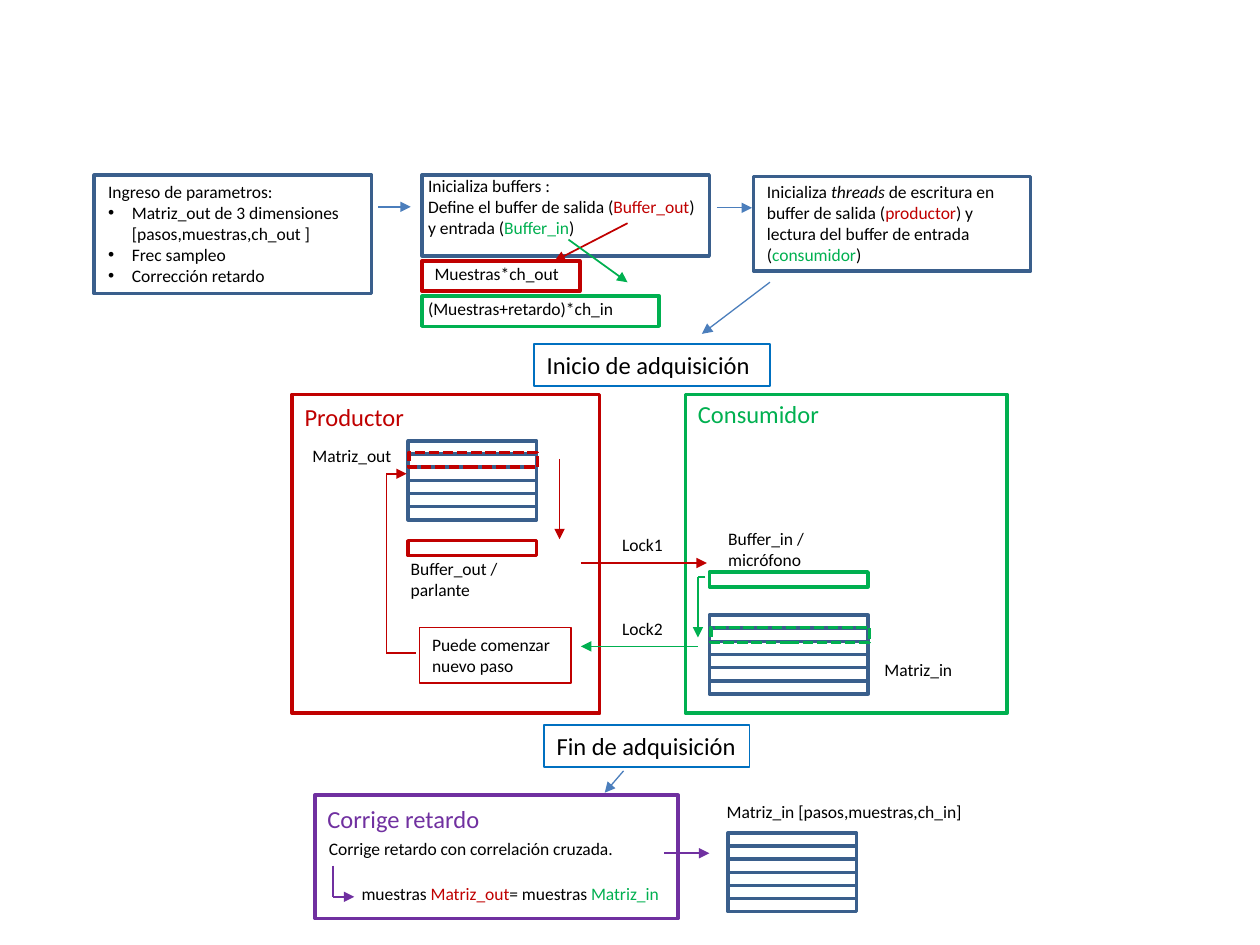
from lxml import etree
from pptx import Presentation
from pptx.dml.color import RGBColor
from pptx.enum.dml import MSO_LINE
from pptx.enum.shapes import MSO_CONNECTOR, MSO_SHAPE
from pptx.oxml.ns import qn
from pptx.util import Cm, Pt

RECTANGLE = MSO_SHAPE.RECTANGLE
STRAIGHT = MSO_CONNECTOR.STRAIGHT
DASHED = MSO_LINE.SQUARE_DOT
COLORS = {
    "black": "000000", "navy": "3A5F8C", "arrow": "4B7EBC", "blue": "0070C0",
    "red": "C00000", "green": "00B050", "purple": "7030A0",
}
FONT = "Calibri"
ROW_PITCH = 0.265
ROW_COUNT = 6


def rgb(color):
    """Return the named colour."""
    return RGBColor.from_string(COLORS[color])


def add_box(page, place, color, width=2, dash=None):
    """Draw an outlined rectangle."""
    box = page.shapes.add_shape(RECTANGLE, *map(Cm, place))
    box.shadow.inherit = False
    box.fill.background()
    box.line.color.rgb = rgb(color)
    box.line.width = Pt(width)
    if dash:
        box.line.dash_style = dash


def add_bullet(para):
    """Give a paragraph a hanging bullet."""
    properties = para._p.get_or_add_pPr()
    properties.set("marL", str(Cm(0.48)))
    properties.set("indent", str(-Cm(0.48)))
    etree.SubElement(properties, qn("a:buFont")).set("typeface", "Arial")
    etree.SubElement(properties, qn("a:buChar")).set("char", "•")


def add_text(page, place, paragraphs, size=10, bullets_from=None, border=None, width=1):
    """Write paragraphs of (text, colour, italic) runs, with an optional border."""
    box = page.shapes.add_textbox(*map(Cm, place))
    if border:
        box.line.color.rgb = rgb(border)
        box.line.width = Pt(width)
    frame = box.text_frame
    frame.word_wrap = True
    for index, runs in enumerate(paragraphs):
        para = frame.add_paragraph() if index else frame.paragraphs[0]
        if bullets_from is not None and index >= bullets_from:
            add_bullet(para)
        for text, color, *italic in runs:
            span = para.add_run()
            span.text = text
            span.font.name = FONT
            span.font.size = Pt(size)
            span.font.color.rgb = rgb(color)
            if italic:
                span.font.italic = True


def add_label(page, place, text, color="black", size=10, **style):
    """Write one plain run."""
    add_text(page, place, [[(text, color)]], size, **style)


def add_arrow(page, points, color, width=1):
    """Join points with straight lines and put an arrowhead at the last."""
    for start, end in zip(points, points[1:]):
        line = page.shapes.add_connector(STRAIGHT, *map(Cm, start + end))
        line.line.color.rgb = rgb(color)
        line.line.width = Pt(width)
        properties = line._element.spPr
        etree.SubElement(properties, qn("a:effectLst"))
    outline = properties.find(qn("a:ln"))
    etree.SubElement(outline, qn("a:tailEnd")).set("type", "triangle")


def add_matrix(page, left, top, width):
    """Stack the rows of a matrix."""
    for row in range(ROW_COUNT):
        add_box(page, (left, top + row * ROW_PITCH, width, ROW_PITCH), "navy")


def add_setup(page):
    """Draw the three preparation steps."""
    add_box(page, (1.9, 3.53, 5.59, 2.39), "navy")
    add_text(page, (1.93, 3.53, 5.56, 2.39), [
        [("Ingreso de parametros:", "black")],
        [("Matriz_out de 3 dimensiones [pasos,muestras,ch_out ]", "black")],
        [("Frec sampleo", "black")],
        [("Corrección retardo", "black")],
    ], bullets_from=1)
    add_box(page, (8.51, 3.53, 5.79, 1.63), "navy")
    add_text(page, (8.38, 3.4, 5.99, 1.55), [
        [("Inicializa buffers :", "black")],
        [("Define el buffer de salida (", "black"), ("Buffer_out", "red"),
         (") y entrada (", "black"), ("Buffer_in", "green"), (")", "black")],
    ])
    add_box(page, (8.51, 5.26, 3.18, 0.61), "red")
    add_label(page, (8.51, 5.18, 3.81, 0.69), "Muestras*ch_out")
    add_box(page, (8.51, 5.97, 4.78, 0.61), "green")
    add_label(page, (8.38, 5.89, 4.55, 0.69), "(Muestras+retardo)*ch_in")
    add_arrow(page, [(12.65, 4.5), (11.18, 5.26)], "red")
    add_arrow(page, [(11.46, 4.83), (12.65, 5.69)], "green")
    add_box(page, (15.19, 3.56, 5.59, 1.9), "navy")
    add_text(page, (15.21, 3.53, 5.56, 1.96), [[
        ("Inicializa ", "black"), ("threads", "black", True),
        (" de escritura en buffer de salida (", "black"), ("productor", "red"),
        (") y lectura del buffer de entrada (", "black"),
        ("consumidor", "green"), (")", "black"),
    ]])


def add_producer(page):
    """Draw the producer panel."""
    add_box(page, (5.89, 7.95, 6.2, 6.43), "red")
    add_label(page, (5.89, 7.98, 3.43, 0.86), "Productor", "red", 14)
    add_matrix(page, 8.23, 8.89, 2.59)
    add_box(page, (8.25, 9.12, 2.59, 0.3), "red", dash=DASHED)
    add_box(page, (8.23, 10.9, 2.59, 0.3), "red")
    add_label(page, (6.05, 8.84, 3.81, 0.69), "Matriz_out")
    add_label(page, (8.03, 11.13, 3.1, 1.12), "Buffer_out / parlante")
    add_label(page, (8.46, 12.65, 3.05, 1.12), "Puede comenzar nuevo paso",
              border="red", width=0.75)
    add_arrow(page, [(11.28, 9.25), (11.28, 10.87)], "red")
    add_arrow(page, [(8.38, 13.17), (7.79, 13.17), (7.79, 9.55), (8.2, 9.55)], "red")


def add_consumer(page):
    """Draw the consumer panel."""
    add_box(page, (13.82, 7.95, 6.48, 6.43), "green")
    add_label(page, (13.82, 7.92, 3.43, 0.86), "Consumidor", "green", 14)
    add_matrix(page, 14.3, 12.4, 3.2)
    add_box(page, (14.33, 12.65, 3.2, 0.3), "green", dash=DASHED)
    add_box(page, (14.3, 11.53, 3.2, 0.3), "green")
    add_label(page, (14.43, 10.52, 3.1, 1.12), "Buffer_in / micrófono")
    add_label(page, (17.58, 13.16, 3.81, 0.69), "Matriz_in")
    add_arrow(page, [(14.22, 11.63), (14.07, 11.63), (14.07, 12.85)], "green")


def add_locks(page):
    """Draw the two locks between the panels."""
    add_arrow(page, [(11.71, 11.35), (14.25, 11.35)], "red")
    add_arrow(page, [(14.07, 13.03), (11.71, 13.03)], "green")
    for text, top in (("Lock1", 10.64), ("Lock2", 12.34)):
        add_label(page, (12.29, top, 2.24, 0.69), text)


def add_correction(page):
    """Draw the delay correction and its result."""
    add_box(page, (6.35, 16.03, 7.32, 2.49), "purple")
    add_label(page, (6.35, 16.08, 4.27, 0.86), "Corrige retardo", "purple", 14)
    add_label(page, (6.38, 16.76, 6.68, 0.69),
              "Corrige retardo con correlación cruzada. ")
    add_text(page, (7.04, 17.68, 6.68, 0.69), [[
        ("muestras ", "black"), ("Matriz_out", "red"),
        ("= muestras ", "black"), ("Matriz_in", "green"),
    ]])
    add_arrow(page, [(6.71, 17.45), (6.71, 18.08), (7.14, 18.08)], "purple")
    add_arrow(page, [(13.39, 17.2), (14.3, 17.2)], "purple")
    add_label(page, (14.4, 16.03, 5.51, 0.69), "Matriz_in [pasos,muestras,ch_in]")
    add_matrix(page, 14.68, 16.79, 2.59)


def add_flow(page):
    """Draw the start and end labels and the arrows between stages."""
    add_label(page, (10.77, 6.93, 4.75, 0.86), "Inicio de adquisición",
              size=14, border="blue")
    add_label(page, (10.97, 14.61, 4.14, 0.86), "Fin de adquisición",
              size=14, border="blue")
    for points in (
        [(7.62, 4.17), (8.28, 4.17)],
        [(14.45, 4.19), (15.16, 4.19)],
        [(15.52, 5.69), (14.15, 6.73)],
        [(12.57, 15.54), (12.19, 15.98)],
    ):
        add_arrow(page, points, "arrow", 0.75)


def main():
    """Build the slide and save the deck."""
    deck = Presentation()
    deck.slide_width, deck.slide_height = Cm(25.4), Cm(19.05)
    page = deck.slides.add_slide(deck.slide_layouts[6])
    add_setup(page)
    add_producer(page)
    add_consumer(page)
    add_locks(page)
    add_correction(page)
    add_flow(page)
    deck.save("out.pptx")


main()
